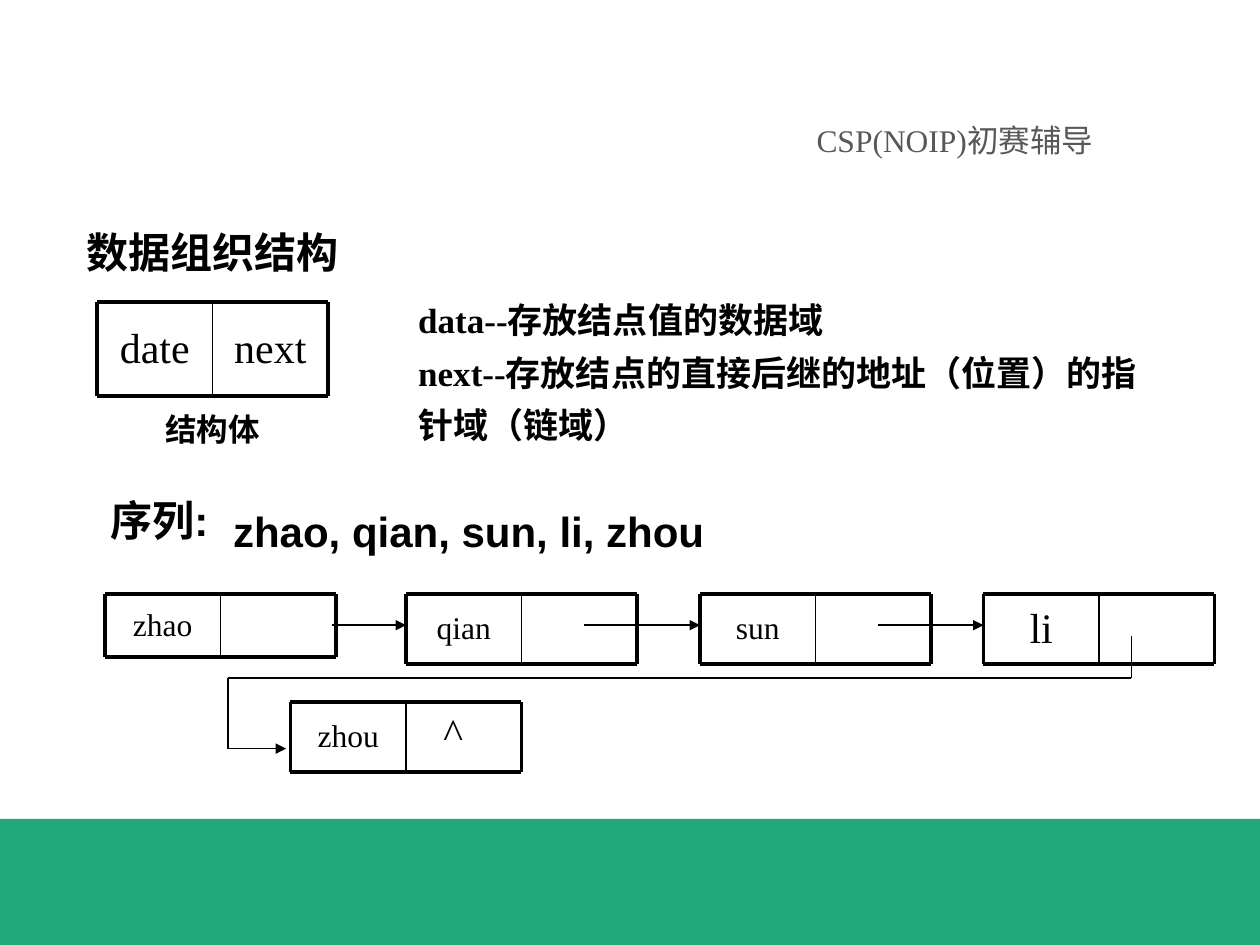
import itertools

import pptx
import pptx.dml.color
import pptx.enum.shapes
import pptx.enum.text
import pptx.oxml.ns
import pptx.util
from lxml import etree

Pt = pptx.util.Pt
ALIGN = pptx.enum.text.PP_ALIGN
BLACK = "000000"
SERIF = "Times New Roman"
SANS = "Arial"
CJK = "Noto Sans CJK SC"
NODE_WIDTH = 132
CELL_WIDTH = NODE_WIDTH / 2
ROW_TOP = 339.3


def color(value):
    return pptx.dml.color.RGBColor.from_string(value)


def add_element(parent, tag, **attributes):
    return etree.SubElement(parent, pptx.oxml.ns.qn(tag), **attributes)


def add_run(p, text, size, font, bold=False, fill=BLACK):
    r = p.add_run()
    r.text = text
    r.font.size = Pt(size)
    r.font.name = font
    r.font.bold = bold
    r.font.color.rgb = color(fill)
    if font == CJK:
        add_element(r._r.get_or_add_rPr(), "a:ea", typeface=font)


def format_paragraph(p, align, spacing):
    p.alignment = align
    p.space_before = Pt(0)
    p.line_spacing = spacing
    pPr = p._p.get_or_add_pPr()
    pPr.set("marL", "0")
    pPr.set("indent", "0")
    add_element(pPr, "a:buNone")


def fill_frame(tf, paragraphs, align=ALIGN.LEFT, top_inset=1, spacings=(None, 1.25)):
    tf.auto_size = pptx.enum.text.MSO_AUTO_SIZE.NONE
    tf.word_wrap = True
    tf.vertical_anchor = pptx.enum.text.MSO_ANCHOR.TOP
    tf.margin_left = tf.margin_right = tf.margin_bottom = 0
    tf.margin_top = Pt(top_inset)
    for i, (runs, spacing) in enumerate(zip(paragraphs, spacings)):
        p = tf.add_paragraph() if i else tf.paragraphs[0]
        format_paragraph(p, align, spacing)
        for run in runs:
            add_run(p, *run)


def place(sp, left, top, width, height):
    sp.left, sp.top, sp.width, sp.height = Pt(left), Pt(top), Pt(width), Pt(height)


def add_text(s, left, top, width, height, runs, align=ALIGN.LEFT):
    sp = s.shapes.add_textbox(Pt(left), Pt(top), Pt(width), Pt(height))
    fill_frame(sp.text_frame, [runs], align)


def add_band(s, left, top, width, height, fill):
    sp = s.shapes.add_shape(pptx.enum.shapes.MSO_SHAPE.RECTANGLE,
                            Pt(left), Pt(top), Pt(width), Pt(height))
    sp.shadow.inherit = False
    sp.fill.solid()
    sp.fill.fore_color.rgb = color(fill)
    sp.line.fill.background()


def add_line(s, start, end, width=0.85, arrow=False):
    line = s.shapes.add_connector(pptx.enum.shapes.MSO_CONNECTOR.STRAIGHT,
                                  *(Pt(v) for v in (*start, *end)))
    line.line.color.rgb = color(BLACK)
    line.line.width = Pt(width)
    if arrow:
        add_element(line.line._get_or_add_ln(), "a:tailEnd", type="triangle")
    add_element(line._element.spPr, "a:effectLst")


def add_node(s, left, top, height):
    right, bottom = left + NODE_WIDTH, top + height
    for y in (top, bottom):
        add_line(s, (left, y), (right, y), 2.25)
    for x, width in ((left, 2.25), (left + CELL_WIDTH, 1), (right, 2.25)):
        add_line(s, (x, top), (x, bottom), width)


def add_cell_text(s, text, left, top, size):
    add_text(s, left + 1, top, CELL_WIDTH - 2, size * 1.3,
             [(text, size, SERIF)], ALIGN.CENTER)


def add_labelled_node(s, label, left, top, height, size):
    add_node(s, left, top, height)
    add_cell_text(s, label, left, top + (height - size * 1.3) / 2 - 1, size)


def add_definitions(s):
    title, body = s.placeholders
    place(title, 49.5, 128.4, 146, 31)
    fill_frame(title.text_frame, [[("数据组织结构", 24, CJK, True)]])
    place(body, 239, 163.5, 412, 92)
    fill_frame(body.text_frame, [
        [("data--", 20, SERIF, True), ("存放结点值的数据域", 20, CJK, True)],
        [("next--", 20, SERIF, True),
         ("存放结点的直接后继的地址（位置）的指 针域（链域）", 20, CJK, True)],
    ], top_inset=7.2)
    add_node(s, 55.5, 172.8, 53.3)
    for i, field in enumerate(("date", "next")):
        add_cell_text(s, field, 55.5 + i * CELL_WIDTH, 182.6, 24)
    add_text(s, 67.5, 233, 108, 24, [("结构体", 18, CJK, True)], ALIGN.CENTER)


def add_linked_list(s):
    add_text(s, 63, 281.5, 68, 31, [("序列", 24, CJK, True), (":", 24, SANS, True)])
    add_text(s, 133.2, 287.6, 290, 31, [("zhao, qian, sun, li, zhou", 24, SANS, True)])
    for node in (("zhao", 60, ROW_TOP, 36, 18), ("qian", 232, ROW_TOP, 40, 18),
                 ("sun", 400, ROW_TOP, 40, 18), ("li", 562, ROW_TOP, 40, 24),
                 ("zhou", 166, 401, 40, 18)):
        add_labelled_node(s, *node)
    add_cell_text(s, "^", 226, 402.5, 24)
    for start, end in ((190, 232), (334, 400), (502, 562)):
        add_line(s, (start, 357.3), (end, 357.3), arrow=True)
    route = [(646.5, 363.5), (646.5, 387.4), (130.3, 387.4), (130.3, 427.8), (163.5, 427.8)]
    for start, end in itertools.pairwise(route):
        add_line(s, start, end, arrow=end == route[-1])


def main():
    prs = pptx.Presentation()
    prs.slide_width, prs.slide_height = Pt(720), Pt(540)
    s = prs.slides.add_slide(prs.slide_layouts[1])
    add_band(s, 0, 468, 720, 72, "22A87A")
    add_text(s, 466.6, 68.4, 227, 24,
             [("CSP(NOIP)", 18, SERIF, False, "585858"),
              ("初赛辅导", 18, CJK, False, "585858")])
    add_definitions(s)
    add_linked_list(s)
    prs.save("out.pptx")


if __name__ == "__main__":
    main()
